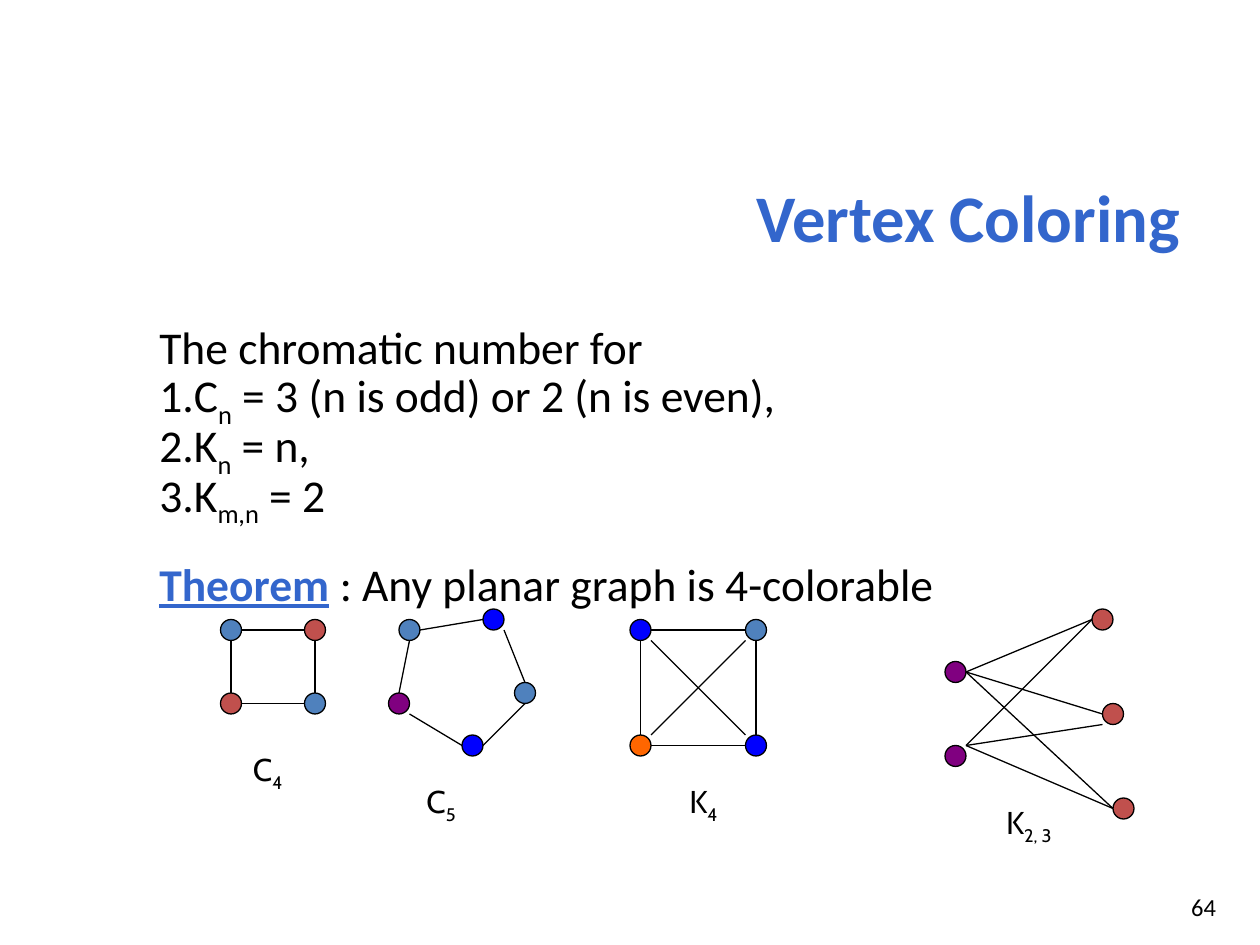
from dataclasses import dataclass
from typing import Any, NamedTuple

from lxml.etree import SubElement
from pptx import Presentation
from pptx.dml.color import RGBColor as RGB
from pptx.enum.shapes import MSO_CONNECTOR as Link, MSO_SHAPE as Form
from pptx.enum.text import MSO_ANCHOR as Anchor, PP_ALIGN as Align
from pptx.oxml.ns import qn
from pptx.util import Pt

PX = 7620  # EMU in one px, 120 px to the inch
DOT = 20
THIN = Pt(0.75)

BLACK = RGB(0x00, 0x00, 0x00)
WHITE = RGB(0xFF, 0xFF, 0xFF)
TITLE = RGB(0x33, 0x66, 0xCC)
STEEL = RGB(0x4F, 0x81, 0xBD)
RED = RGB(0xC0, 0x50, 0x4D)
BLUE = RGB(0x00, 0x00, 0xFF)
PLUM = RGB(0x80, 0x00, 0x80)
FLAME = RGB(0xFF, 0x66, 0x00)

# Points on a dot's bounding box, as shares of its size
SIDES = {
    "N": (0.5, 0), "S": (0.5, 1), "W": (0, 0.5), "E": (1, 0.5),
    "NW": (0, 0), "NE": (1, 0), "SW": (0, 1), "SE": (1, 1),
}


class Box(NamedTuple):
    x: int
    y: int
    w: int
    h: int


class Dot(NamedTuple):
    x: int
    y: int
    fill: RGB


class Edge(NamedTuple):
    start: int
    out: str
    end: int
    into: str


class Bit(NamedTuple):
    text: str
    sub: bool = False
    form: dict[str, Any] = {}


@dataclass
class Graph:
    name: str
    index: str
    label: Box
    dots: list[Dot]
    edges: list[Edge]


SQUARE = [Edge(0, "E", 1, "W"), Edge(2, "E", 3, "W"),
          Edge(1, "S", 3, "N"), Edge(0, "S", 2, "N")]
CROSS = [Edge(0, "SE", 3, "NW"), Edge(2, "NE", 1, "SW")]

GRAPHS = [
    Graph("C", "4", Box(240, 720, 30, 30),
          [Dot(210, 590, STEEL), Dot(290, 590, RED),
           Dot(210, 660, RED), Dot(290, 660, STEEL)],
          SQUARE),
    Graph("C", "5", Box(400, 750, 40, 30),
          [Dot(380, 590, STEEL), Dot(460, 580, BLUE), Dot(490, 650, STEEL),
           Dot(440, 700, BLUE), Dot(370, 660, PLUM)],
          [Edge(0, "E", 1, "W"), Edge(1, "SE", 2, "N"), Edge(3, "E", 2, "S"),
           Edge(4, "SE", 3, "W"), Edge(0, "S", 4, "N")]),
    Graph("K", "4", Box(650, 750, 40, 30),
          [Dot(600, 590, BLUE), Dot(710, 590, STEEL),
           Dot(600, 700, FLAME), Dot(710, 700, BLUE)],
          SQUARE + CROSS),
    Graph("K", "2, 3", Box(950, 770, 60, 30),
          [Dot(900, 630, PLUM), Dot(900, 710, PLUM),
           Dot(1040, 580, RED), Dot(1050, 670, RED), Dot(1060, 760, RED)],
          [Edge(0, "E", 2, "W"), Edge(0, "E", 3, "W"), Edge(0, "E", 4, "W"),
           Edge(1, "NE", 2, "W"), Edge(1, "NE", 3, "SW"),
           Edge(1, "NE", 4, "W")]),
]

RULES = [("C", "n", " = 3 (n is odd) or 2 (n is even),"),
         ("K", "n", " = n,"),
         ("K", "m,n", " = 2")]


def put(item: Any, form: dict[str, Any]) -> None:
    """Set each format value; a colour goes to the item's colour object."""
    for key, value in form.items():
        if key == "color":
            item.color.rgb = value
        else:
            setattr(item, key, value)


def scale(*sizes: float) -> list[int]:
    return [round(size * PX) for size in sizes]


def write(para: Any, bits: list[Bit], form: dict[str, Any]) -> None:
    for bit in bits:
        run = para.add_run()
        run.text = bit.text
        put(run.font, form | bit.form)
        if bit.sub:
            run._r.get_or_add_rPr().set("baseline", "-25000")


def add_text(slide: Any, box: Box, form: dict[str, Any]) -> Any:
    frame = slide.shapes.add_textbox(*scale(*box)).text_frame
    put(frame, {"word_wrap": True} | form)
    return frame


def add_line(slide: Any, text: str, box: Box, form: dict[str, Any]) -> None:
    """Add a box with one right-aligned line of text."""
    frame = add_text(slide, box, {"vertical_anchor": Anchor.MIDDLE})
    para = frame.paragraphs[0]
    para.alignment = Align.RIGHT
    write(para, [Bit(text)], {"name": "Calibri"} | form)


def add_body(slide: Any) -> None:
    frame = add_text(slide, Box(140, 308, 1080, 462), {})
    lines = [[Bit("The chromatic number for")]]
    lines += [[Bit(name), Bit(sub, True), Bit(rest)] for name, sub, rest in RULES]
    mark = {"color": TITLE, "bold": True, "underline": True}
    lines.append([Bit("Theorem", form=mark),
                  Bit(" : Any planar graph is 4-colorable")])
    last = len(lines) - 1
    for i, bits in enumerate(lines):
        para = frame.add_paragraph() if i else frame.paragraphs[0]
        gap = Pt(25.4) if i == last else Pt(0)
        put(para, {"line_spacing": 0.8, "space_before": gap})
        if 0 < i < last:
            props = para._p.get_or_add_pPr()
            SubElement(props, qn("a:buAutoNum"), type="arabicPeriod")
        write(para, bits, {"name": "Calibri", "size": Pt(26), "color": BLACK})


def add_form(slide: Any, kind: Form, box: Box, fill: RGB, rim: RGB) -> Any:
    shape = slide.shapes.add_shape(kind, *scale(*box))
    shape.shadow.inherit = False
    shape.fill.solid()
    shape.fill.fore_color.rgb = fill
    put(shape.line, {"color": rim, "width": THIN})
    return shape


def add_edge(slide: Any, dots: list[Dot], edge: Edge) -> None:
    ends = []
    for i, side in ((edge.start, edge.out), (edge.end, edge.into)):
        dx, dy = SIDES[side]
        ends += [dots[i].x + dx * DOT, dots[i].y + dy * DOT]
    line = slide.shapes.add_connector(Link.STRAIGHT, *scale(*ends))
    put(line.line, {"color": BLACK, "width": THIN})
    SubElement(line._element.spPr, qn("a:effectLst"))


def add_graph(slide: Any, graph: Graph) -> None:
    for dot in graph.dots:
        add_form(slide, Form.OVAL, Box(dot.x, dot.y, DOT, DOT), dot.fill, BLACK)
    for edge in graph.edges:
        add_edge(slide, graph.dots, edge)
    label = add_form(slide, Form.RECTANGLE, graph.label, WHITE, WHITE)
    frame = label.text_frame
    put(frame, {"word_wrap": False, "vertical_anchor": Anchor.MIDDLE})
    para = frame.paragraphs[0]
    para.alignment = Align.CENTER
    write(para, [Bit(graph.name), Bit(graph.index, True)],
          {"name": "Cabin", "size": Pt(18), "color": BLACK})


def main() -> None:
    deck = Presentation()
    deck.slide_width, deck.slide_height = scale(1200, 900)
    slide = deck.slides.add_slide(deck.slide_layouts[6])
    add_line(slide, "64", Box(890, 840, 280, 48),
             {"size": Pt(14), "color": BLACK})
    add_line(slide, "Vertex Coloring", Box(56, 131, 1080, 150),
             {"size": Pt(38), "color": TITLE, "bold": True})
    add_body(slide)
    for graph in GRAPHS:
        add_graph(slide, graph)
    deck.save("out.pptx")


if __name__ == "__main__":
    main()
